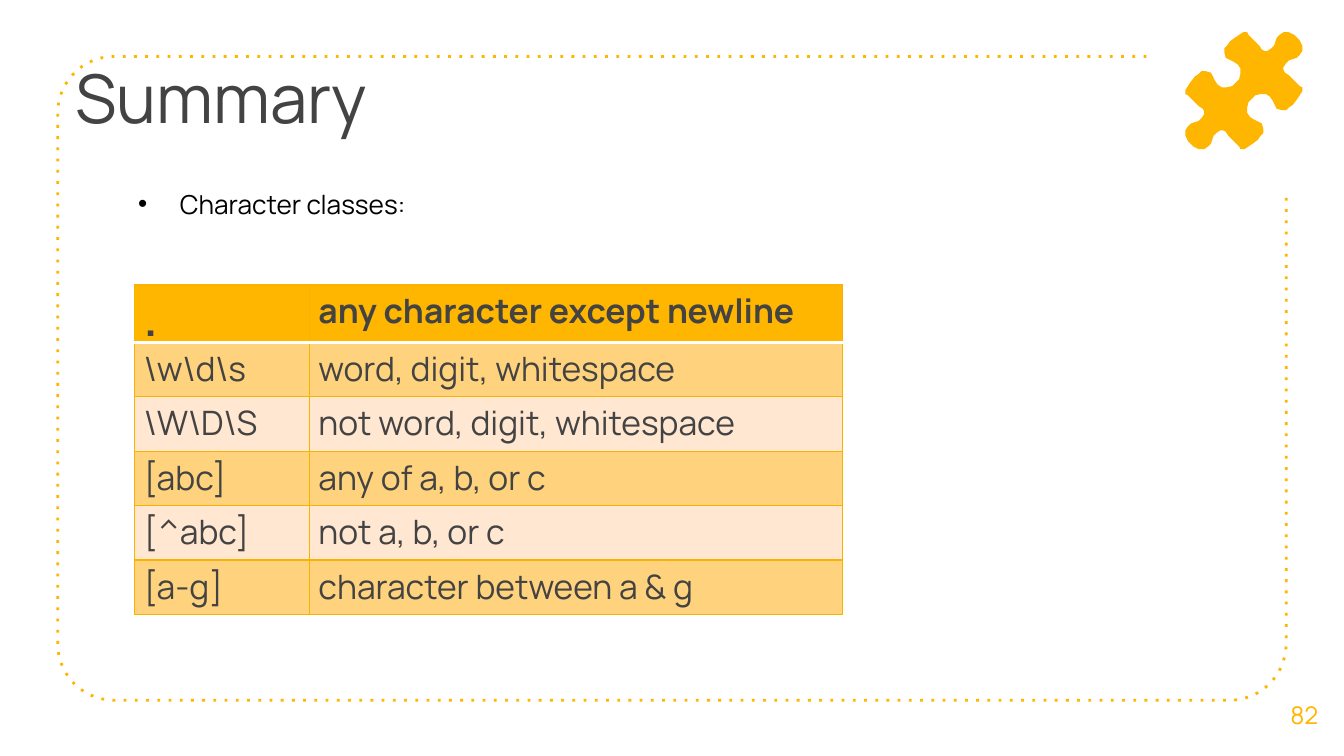
from dataclasses import dataclass
from math import cos, radians, sin

from lxml import etree
from pptx import Presentation
from pptx.dml.color import RGBColor
from pptx.enum.dml import MSO_LINE
from pptx.enum.text import MSO_ANCHOR, PP_ALIGN
from pptx.oxml.ns import qn
from pptx.util import Inches, Pt

DOTTED = MSO_LINE.ROUND_DOT
TOP, MIDDLE = MSO_ANCHOR.TOP, MSO_ANCHOR.MIDDLE
LEFT, CENTER = PP_ALIGN.LEFT, PP_ALIGN.CENTER

TITLE = "Summary"
LEAD = "Character classes:"
PAGE_NUMBER = "82"
CLASSES = [
    (".", "any character except newline"),
    (r"\w\d\s", "word, digit, whitespace"),
    (r"\W\D\S", "not word, digit, whitespace"),
    ("[abc]", "any of a, b, or c"),
    ("[^abc]", "not a, b, or c"),
    ("[a-g]", "character between a & g"),
]


@dataclass(frozen=True)
class Theme:
    font: str = "Manrope"
    accent: str = "FFB600"
    band_dark: str = "FFD37D"
    band_light: str = "FFE7D1"
    grid: str = "F9B200"
    ink: str = "434343"
    black: str = "000000"
    white: str = "FFFFFF"
    title_size: int = 36
    dot_size: int = 24
    cell_size: int = 18
    lead_size: int = 14
    number_size: int = 13


THEME = Theme()

PAGE_WIDTH = 10
PAGE_HEIGHT = PAGE_WIDTH * 9 / 16

# Dotted frame, open at the top right corner
FRAME_LEFT, FRAME_TOP, FRAME_RIGHT, FRAME_BOTTOM = 0.43, 0.42, 9.57, 5.21
CORNER = 0.42
FRAME_START, FRAME_END = (8.53, FRAME_TOP), (FRAME_RIGHT, 1.46)

# Puzzle piece: half a notch and half a knob, the rest follows by symmetry
PUZZLE_LEFT, PUZZLE_TOP, PUZZLE_SIZE = 8.82, 0.24, 0.87
PUZZLE_X, PUZZLE_Y = PUZZLE_LEFT + PUZZLE_SIZE / 2, PUZZLE_TOP + PUZZLE_SIZE / 2
HALF_NOTCH = [
    (9.25, 0.24), (9.22, 0.26), (9.19, 0.28), (9.15, 0.31), (9.13, 0.34),
    (9.11, 0.36), (9.11, 0.39), (9.12, 0.43), (9.14, 0.44), (9.18, 0.46),
    (9.21, 0.48), (9.23, 0.51), (9.23, 0.55), (9.22, 0.59), (9.19, 0.62),
]
HALF_KNOB = [
    (8.82, 0.68), (8.82, 0.70), (8.84, 0.71), (8.87, 0.74), (8.92, 0.79),
    (8.95, 0.81), (8.96, 0.83), (8.96, 0.85), (8.94, 0.88), (8.92, 0.90),
    (8.89, 0.91), (8.86, 0.92), (8.84, 0.94), (8.82, 0.97), (8.82, 1.01),
    (8.84, 1.05), (8.87, 1.08),
]

TABLE_LEFT, TABLE_TOP, TABLE_HEIGHT = 1, 2.12, 2.43
COLUMN_WIDTHS = (1.3, 3.97)


def rgb(color):
    return RGBColor.from_string(color)


def style_font(para, size, color, bold=False):
    for span in para.runs:
        span.font.name = THEME.font
        span.font.size = Pt(size)
        span.font.bold = bold
        span.font.color.rgb = rgb(color)


def add_text(page, text, at, size, color, anchor=TOP, align=LEFT, inset=0.1):
    box = page.shapes.add_textbox(*map(Inches, at))
    frame = box.text_frame
    frame.word_wrap = True
    frame.vertical_anchor = anchor
    frame.margin_left = frame.margin_right = Inches(0.1)
    frame.margin_top = frame.margin_bottom = Inches(inset)
    frame.text = text
    para = frame.paragraphs[0]
    para.alignment = align
    style_font(para, size, color)
    return para


def add_bullet(para, color, indent):
    properties = para._p.get_or_add_pPr()
    properties.set("marL", str(Inches(indent)))
    properties.set("indent", str(-Inches(indent)))
    bullet_color = etree.SubElement(properties, qn("a:buClr"))
    etree.SubElement(bullet_color, qn("a:srgbClr"), val=color)
    etree.SubElement(properties, qn("a:buFont"), typeface="Arial")
    etree.SubElement(properties, qn("a:buChar"), char="•")


def add_outline(page, points, close):
    start, *rest = [(Inches(x), Inches(y)) for x, y in points]
    builder = page.shapes.build_freeform(*start)
    builder.add_line_segments(rest, close=close)
    shape = builder.convert_to_shape()
    shape.shadow.inherit = False
    return shape


def corner_arc(center_x, center_y, first_angle):
    """Points of a quarter circle, turning counterclockwise on the page."""
    angles = [radians(first_angle - step) for step in range(0, 91, 6)]
    return [(center_x + CORNER * cos(a), center_y + CORNER * sin(a)) for a in angles]


def add_frame(page):
    near, far = FRAME_LEFT + CORNER, FRAME_RIGHT - CORNER
    low = FRAME_BOTTOM - CORNER
    points = [
        FRAME_START,
        *corner_arc(near, FRAME_TOP + CORNER, 270),
        *corner_arc(near, low, 180),
        *corner_arc(far, low, 90),
        FRAME_END,
    ]
    shape = add_outline(page, points, close=False)
    shape.fill.background()
    shape.line.color.rgb = rgb(THEME.accent)
    shape.line.width = Pt(1.5)
    shape.line.dash_style = DOTTED
    # The widely spaced dot has no enum member
    next(shape._element.iter(qn("a:prstDash"))).set("val", "dot")


def mirrored(points, sign):
    """Reflect in a diagonal through the puzzle centre: 1 falling, -1 rising."""
    return [(PUZZLE_X + sign * (y - PUZZLE_Y), PUZZLE_Y + sign * (x - PUZZLE_X))
            for x, y in reversed(points)]


def add_puzzle(page):
    half = [*HALF_NOTCH, *mirrored(HALF_NOTCH, 1), *HALF_KNOB, *mirrored(HALF_KNOB, -1)]
    turned = [(2 * PUZZLE_X - x, 2 * PUZZLE_Y - y) for x, y in half]
    shape = add_outline(page, half + turned, close=True)
    shape.fill.solid()
    shape.fill.fore_color.rgb = rgb(THEME.accent)
    shape.line.fill.background()


def set_borders(cell, row):
    header_edge = {0: "lnB", 1: "lnT"}.get(row)
    for side in ("lnL", "lnR", "lnT", "lnB"):
        color, width = (THEME.white, 2) if side == header_edge else (THEME.grid, 0.75)
        line = etree.SubElement(cell._tc.get_or_add_tcPr(), qn(f"a:{side}"), w=str(Pt(width)))
        fill = etree.SubElement(line, qn("a:solidFill"))
        etree.SubElement(fill, qn("a:srgbClr"), val=color)


def add_class_table(page):
    table = page.shapes.add_table(
        len(CLASSES), len(COLUMN_WIDTHS), Inches(TABLE_LEFT), Inches(TABLE_TOP),
        Inches(sum(COLUMN_WIDTHS)), Inches(TABLE_HEIGHT)).table
    table.horz_banding = False
    for column, width in zip(table.columns, COLUMN_WIDTHS):
        column.width = Inches(width)
    for row, texts in enumerate(CLASSES):
        header = row == 0
        band = THEME.band_dark if row % 2 else THEME.band_light
        for column, text in enumerate(texts):
            cell = table.cell(row, column)
            cell.margin_left = cell.margin_right = Inches(0.07)
            cell.margin_top = cell.margin_bottom = 0
            set_borders(cell, row)
            cell.fill.solid()
            cell.fill.fore_color.rgb = rgb(THEME.accent if header else band)
            cell.text_frame.text = text
            para = cell.text_frame.paragraphs[0]
            para.line_spacing = 1.07
            para.space_after = Pt(8)
            size = THEME.dot_size if text == "." else THEME.cell_size
            style_font(para, size, THEME.ink, bold=header)


def main():
    deck = Presentation()
    deck.slide_width, deck.slide_height = Inches(PAGE_WIDTH), Inches(PAGE_HEIGHT)
    page = deck.slides.add_slide(deck.slide_layouts[6])
    add_frame(page)
    add_text(page, TITLE, (0.46, 0.32, 7.51, 0.94), THEME.title_size, THEME.ink)
    add_text(page, PAGE_NUMBER, (9.41, 5.02, 0.59, 0.6), THEME.number_size,
             THEME.accent, MIDDLE, CENTER)
    add_puzzle(page)
    lead = add_text(page, LEAD, (0.93, 1.35, 8.88, 0.57), THEME.lead_size,
                    THEME.black, inset=0.05)
    add_bullet(lead, THEME.black, 0.31)
    add_class_table(page)
    deck.save("out.pptx")


if __name__ == "__main__":
    main()
